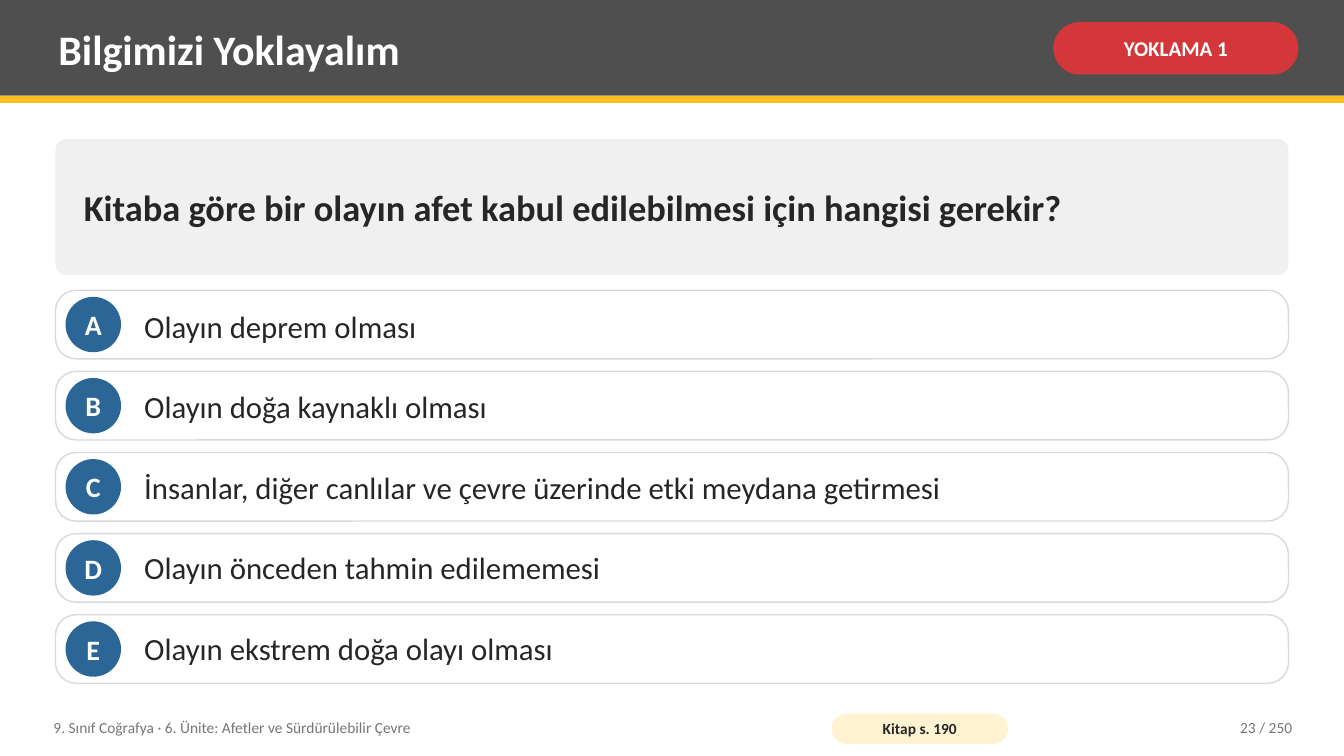
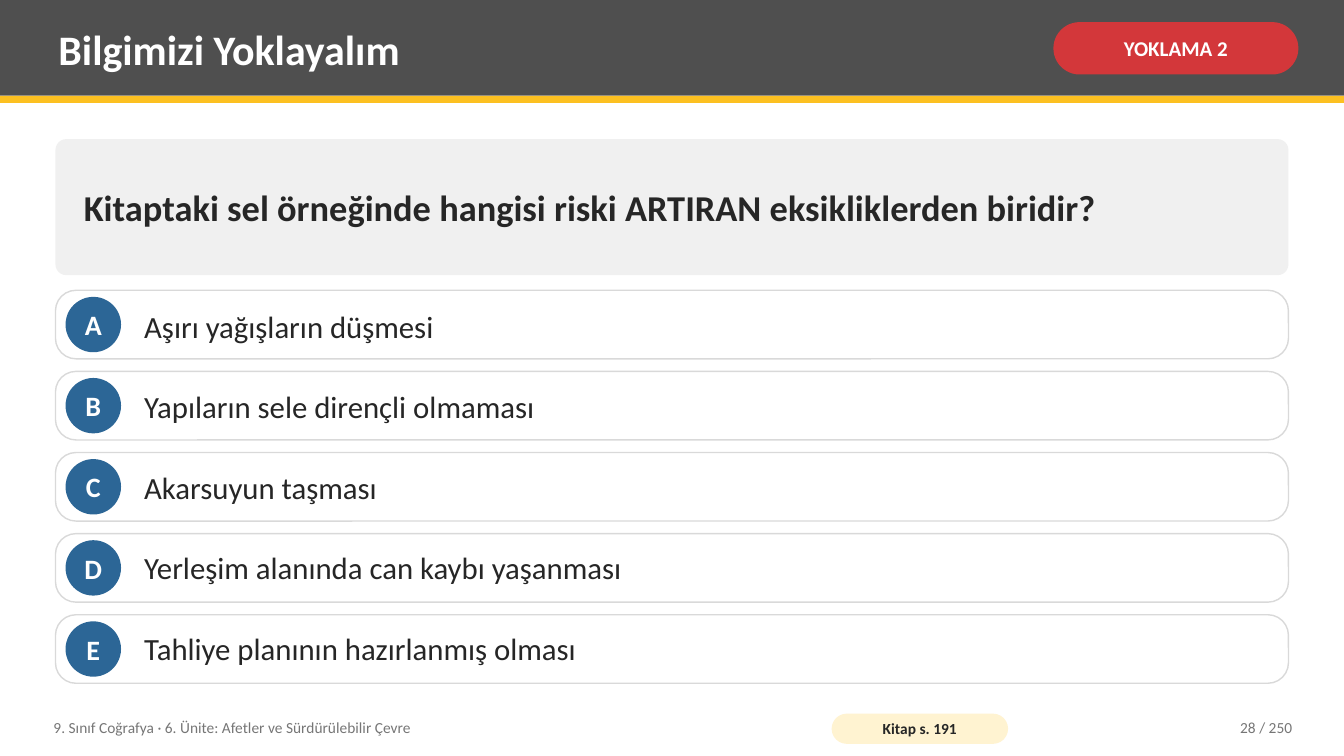
from pptx import Presentation
from pptx.dml.color import RGBColor
from pptx.enum.shapes import MSO_SHAPE as Shape
from pptx.enum.text import MSO_ANCHOR as Anchor, MSO_AUTO_SIZE as Fit, PP_ALIGN as Align
from pptx.oxml.ns import qn
from pptx.util import Inches, Pt

# Shared look
rgb = RGBColor.from_string
FONT = "Calibri"
WHITE, INK, GRAY = "FFFFFF", "262626", "767676"
BAR, GOLD, RED, BLUE = "4F4F4F", "FCC021", "D3373A", "2C6696"
PANEL, EDGE, CREAM = "F0F0F0", "D9D9D9", "FFF3D1"
INSETS = (0.08, 0.04)
FOOTER = "9. Sınıf Coğrafya · 6. Ünite: Afetler ve Sürdürülebilir Çevre"
PAGES = 250

# Grid, in percent of the slide's width (x) and height (y)
MARGIN = 4.13
FULL = 100 - 2 * MARGIN
BAR_H = 12.67
ROW_TOP, ROW_H, ROW_STEP = 38.4, 9.07, 10.73
DOT_W, DOT_H = 4.13, 7.33
FOOT_TOP, FOOT_H = 93.87, 4.8
LIST_H = 4 * ROW_STEP + ROW_H
LIST_SIZE = 22

slides = [
    ("YOKLAMA 1", "Kitaba göre bir olayın afet kabul edilebilmesi için hangisi gerekir?",
     ["Olayın deprem olması",
      "Olayın doğa kaynaklı olması",
      "İnsanlar, diğer canlılar ve çevre üzerinde etki meydana getirmesi",
      "Olayın önceden tahmin edilememesi",
      "Olayın ekstrem doğa olayı olması"], 190, 23),
    ("YOKLAMA 2", "Kitaptaki sel örneğinde hangisi riski ARTIRAN eksikliklerden biridir?",
     ["Aşırı yağışların düşmesi",
      "Yapıların sele dirençli olmaması",
      "Akarsuyun taşması",
      "Yerleşim alanında can kaybı yaşanması",
      "Tahliye planının hazırlanmış olması"], 191, 28),
]

prs = Presentation()
prs.slide_width, prs.slide_height = Inches(13.33), Inches(7.5)
col, row = prs.slide_width / 100, prs.slide_height / 100


def add(s, kind, x, y, w, h, fill=None, line=None, round_by=None):
    """Add a preset shape, or a text box when kind is None."""
    area = [int(v) for v in (x * col, y * row, w * col, h * row)]
    if kind is None:
        return s.shapes.add_textbox(*area)
    sp = s.shapes.add_shape(kind, *area)
    sp.shadow.inherit = False
    sp.fill.solid()
    sp.fill.fore_color.rgb = rgb(fill)
    if line:
        sp.line.color.rgb = rgb(line)
        sp.line.width = Pt(1)
    else:
        sp.line.fill.background()
    if round_by is not None:
        sp.adjustments[0] = round_by
    return sp


def write(sp, lines, size, color, bold=False, align=Align.LEFT, insets=INSETS, gap=0, wrap=True):
    """Fill a shape with one paragraph per line, centred vertically."""
    tf = sp.text_frame
    tf.auto_size, tf.word_wrap, tf.vertical_anchor = Fit.NONE, wrap, Anchor.MIDDLE
    tf.margin_left = tf.margin_right = Inches(insets[0])
    tf.margin_top = tf.margin_bottom = Inches(insets[1])
    for i, text in enumerate(lines):
        p = tf.add_paragraph() if i else tf.paragraphs[0]
        p.alignment = align
        p.space_before = Pt(gap if i else 0)
        r = p.add_run()
        r.text = text
        r.font.name, r.font.size, r.font.bold = FONT, Pt(size), bold
        r.font.color.rgb = rgb(color)


# Title and answer list are placed once, in the layout
layout = prs.slide_layouts[1]
places = [(3.75, 0.93, 73.13, 10.93), (10.13, ROW_TOP, 84.23, LIST_H)]
for ph, (x, y, w, h) in zip(layout.placeholders, places):
    ph.left, ph.top = int(x * col), int(y * row)
    ph.width, ph.height = int(w * col), int(h * row)

for badge, question, answers, book_page, number in slides:
    s = prs.slides.add_slide(layout)
    title, body = s.placeholders
    tree = title.element.getparent()

    # Header band, title and badge
    add(s, Shape.RECTANGLE, 0, 0, 100, BAR_H, BAR)
    add(s, Shape.RECTANGLE, 0, BAR_H, 100, 0.93, GOLD)
    tree.append(title.element)
    write(title, ["Bilgimizi Yoklayalım"], 30, WHITE, True)
    sp = add(s, Shape.ROUNDED_RECTANGLE, 78.38, 2.93, 18.23, 6.93, RED, round_by=0.5)
    write(sp, [badge], 15, WHITE, True, Align.CENTER, (0.05, 0.02))

    # Question panel
    sp = add(s, Shape.ROUNDED_RECTANGLE, MARGIN, 18.4, FULL, 18, PANEL, round_by=0.08)
    write(sp, [question], 26, INK, True, insets=(0.25, 0.08))

    # Answer rows with their letters
    for i, letter in enumerate("ABCDE"):
        top = ROW_TOP + i * ROW_STEP
        add(s, Shape.ROUNDED_RECTANGLE, MARGIN, top, FULL, ROW_H, WHITE, EDGE, 0.3)
        sp = add(s, Shape.OVAL, 4.88, top + (ROW_H - DOT_H) / 2, DOT_W, DOT_H, BLUE)
        write(sp, [letter], 20, WHITE, True, Align.CENTER, (0, 0), wrap=False)

    # Answer list: one line of text per row, without bullets
    tree.append(body.element)
    step = Inches(7.5).pt * ROW_STEP / 100
    write(body, answers, LIST_SIZE, INK, gap=round(step - LIST_SIZE * 1.22, 1))
    for p in body.text_frame.paragraphs:
        pPr = p._p.get_or_add_pPr()
        pPr.set("marL", "0")
        pPr.set("indent", "0")
        pPr.append(pPr.makeelement(qn("a:buNone"), {}))

    # Footer
    write(add(s, None, 3.38, FOOT_TOP, 57, FOOT_H), [FOOTER], 11, GRAY)
    sp = add(s, Shape.ROUNDED_RECTANGLE, 61.88, 94.4, 13.13, 4, CREAM, round_by=0.5)
    write(sp, [f"Kitap s. {book_page}"], 11, INK, True, Align.CENTER, (0.04, 0))
    sp = add(s, None, 84.75, FOOT_TOP, 12, FOOT_H)
    write(sp, [f"{number} / {PAGES}"], 11, GRAY, align=Align.RIGHT)

prs.save("out.pptx")
